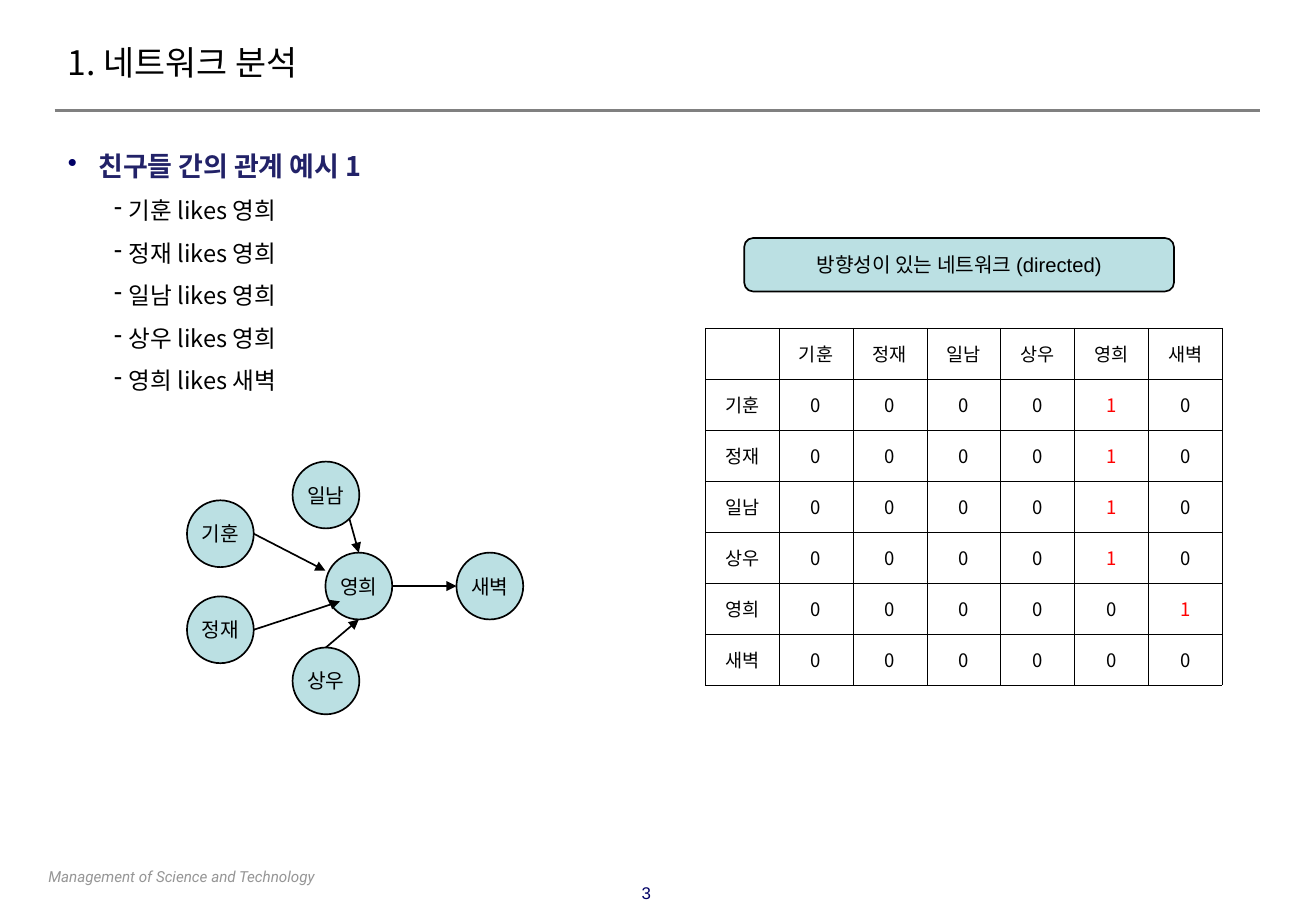
from lxml import etree
from pptx import Presentation
from pptx import util as u
from pptx.dml.color import RGBColor
from pptx.enum import shapes, text
from pptx.oxml.ns import qn

Pt = u.Pt
BLACK = RGBColor(0x00, 0x00, 0x00)
RED = RGBColor(0xFF, 0x00, 0x00)
NAVY = RGBColor(0x00, 0x00, 0x66)
INDIGO = RGBColor(0x22, 0x22, 0x68)
GRAY = RGBColor(0x80, 0x80, 0x80)
LIGHT_GRAY = RGBColor(0x96, 0x96, 0x96)
AQUA = RGBColor(0xBB, 0xE0, 0xE3)
KOREAN = "Noto Sans CJK KR"
LEFT, CENTER = text.PP_ALIGN.LEFT, text.PP_ALIGN.CENTER
MIDDLE = text.MSO_ANCHOR.MIDDLE


def write(p, words, size, color=BLACK, font=KOREAN, bold=False, italic=False, align=LEFT):
    p.alignment = align
    r = p.add_run()
    r.text = words
    r.font.size, r.font.name = Pt(size), font
    r.font.bold, r.font.italic = bold, italic
    r.font.color.rgb = color
    etree.SubElement(r._r.rPr, qn("a:ea"), typeface=KOREAN)


def add_line(x1, y1, x2, y2, color, width, arrow=False):
    line = s.shapes.add_connector(shapes.MSO_CONNECTOR.STRAIGHT, Pt(x1), Pt(y1), Pt(x2), Pt(y2))
    line.line.color.rgb = color
    line.line.width = Pt(width)
    if arrow:
        etree.SubElement(line.line._get_or_add_ln(), qn("a:tailEnd"), type="triangle")
    etree.SubElement(line._element.spPr, qn("a:effectLst"))


prs = Presentation()
prs.slide_width, prs.slide_height = Pt(780.48), Pt(540)
s = prs.slides.add_slide(prs.slide_layouts[6])

add_line(32.4, 65.5, 747.4, 65.5, GRAY, 2)

# Title, bullet list, footer and page number
boxes = {}
for name, x, y, w, h, side, top in [
    ("footer", 21.6, 510.5, 283.7, 18, 7.2, 3.6),
    ("title", 32.4, 24.5, 578.2, 35.3, 7.92, 0),
    ("body", 32.4, 77, 714.2, 419, 7.92, 2),
    ("page", 361.4, 519.8, 43.9, 19.4, 7.2, 3.6),
]:
    tf = s.shapes.add_textbox(Pt(x), Pt(y), Pt(w), Pt(h)).text_frame
    tf.word_wrap = True
    tf.margin_left = tf.margin_right = Pt(side)
    tf.margin_top = Pt(top)
    boxes[name] = tf

write(boxes["footer"].paragraphs[0], "Management of Science and Technology", 9,
      color=LIGHT_GRAY, font="Roboto", italic=True)
write(boxes["title"].paragraphs[0], "1. 네트워크 분석", 20)
write(boxes["page"].paragraphs[0], "3", 10, color=NAVY, font="Arial", align=CENTER)

# Friends, in matrix order, with the top left corner of each node
NODES = {
    "기훈": (110.9, 296.6),
    "정재": (110.9, 353.5),
    "일남": (173.5, 273.6),
    "상우": (173.5, 383.8),
    "영희": (193, 327.6),
    "새벽": (270.7, 327.6),
}
DIAMETER = 39.6

# Who likes whom, with the arrow's ends as fractions of each node's box
LIKES = [
    ("기훈", "영희", (1, 0.5), (0, 0.27)),
    ("정재", "영희", (1, 0.5), (0.22, 0.73)),
    ("일남", "영희", (0.85, 0.85), (0.5, 0)),
    ("상우", "영희", (0.5, 0), (0.5, 1)),
    ("영희", "새벽", (1, 0.5), (0, 0.5)),
]

lines = [("친구들 간의 관계 예시 1", 0, 18, -18, "•", NAVY, 28.8)]
lines += [(f"{a} likes {b}", 1, 36, -8.64, "-", BLACK, 25.2) for a, b, *_ in LIKES]
for i, (words, level, margin, indent, bullet, bullet_color, pitch) in enumerate(lines):
    p = boxes["body"].add_paragraph() if i else boxes["body"].paragraphs[0]
    pPr = p._p.get_or_add_pPr()
    pPr.set("marL", str(Pt(margin)))
    pPr.set("indent", str(Pt(indent)))
    clr = etree.SubElement(pPr, qn("a:buClr"))
    etree.SubElement(clr, qn("a:srgbClr"), val=str(bullet_color))
    etree.SubElement(pPr, qn("a:buChar"), char=bullet)
    p.level = level
    p.line_spacing = Pt(pitch)
    if level:
        write(p, words, 14)
    else:
        write(p, words, 16, color=INDIGO, bold=True)

# Network nodes and the caption of the matrix
ELLIPSE, ROUNDED = shapes.MSO_SHAPE.OVAL, shapes.MSO_SHAPE.ROUNDED_RECTANGLE
filled = [(ELLIPSE, name, x, y, DIAMETER, DIAMETER) for name, (x, y) in NODES.items()]
filled.append((ROUNDED, "방향성이 있는 네트워크 (directed)", 441.4, 141.1, 254.9, 31.7))
for kind, words, x, y, w, h in filled:
    sp = s.shapes.add_shape(kind, Pt(x), Pt(y), Pt(w), Pt(h))
    sp.shadow.inherit = False
    sp.fill.solid()
    sp.fill.fore_color.rgb = AQUA
    sp.line.color.rgb = BLACK
    sp.line.width = Pt(1)
    tf = sp.text_frame
    tf.margin_left = tf.margin_right = tf.margin_top = tf.margin_bottom = 0
    tf.vertical_anchor = MIDDLE
    tf.word_wrap = kind == ROUNDED
    write(tf.paragraphs[0], words, 12, font="Arial", align=CENTER)

for a, b, start, end in LIKES:
    (ax, ay), (bx, by) = NODES[a], NODES[b]
    add_line(ax + start[0] * DIAMETER, ay + start[1] * DIAMETER,
             bx + end[0] * DIAMETER, by + end[1] * DIAMETER, BLACK, 1, arrow=True)

# Adjacency matrix
names = list(NODES)
pairs = {(a, b) for a, b, *_ in LIKES}
matrix = [[""] + names]
matrix += [[a] + ["1" if (a, b) in pairs else "0" for b in names] for a in names]
n = len(matrix)
COL, ROW = 43.8, 30.24
table = s.shapes.add_table(n, n, Pt(418.3), Pt(194.4), Pt(COL * n), Pt(ROW * n)).table
table.first_row = table.horz_banding = False
for i, row in enumerate(matrix):
    table.columns[i].width = Pt(COL)
    table.rows[i].height = Pt(ROW)
    for j, value in enumerate(row):
        cell = table.cell(i, j)
        cell.vertical_anchor = MIDDLE
        cell.margin_top = cell.margin_bottom = 0
        tcPr = cell._tc.get_or_add_tcPr()
        for side in ("lnL", "lnR", "lnT", "lnB"):
            ln = etree.SubElement(tcPr, qn(f"a:{side}"), w=str(Pt(0.28)))
            fill = etree.SubElement(ln, qn("a:solidFill"))
            etree.SubElement(fill, qn("a:srgbClr"), val=str(BLACK))
        cell.fill.background()
        if value:
            write(cell.text_frame.paragraphs[0], value, 11,
                  color=RED if value == "1" else BLACK, align=CENTER)

prs.save("out.pptx")
